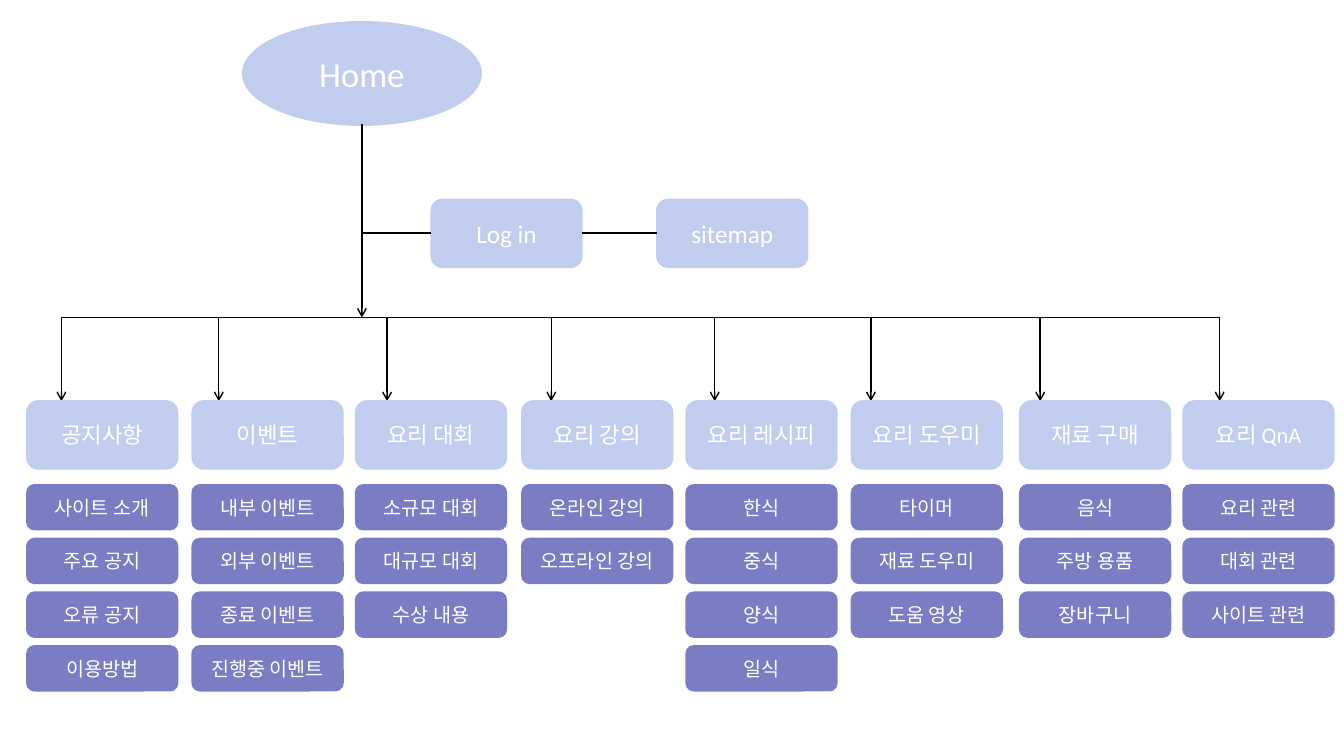
"""Build a site map slide for a cooking website."""
from pptx import Presentation, util as u
from pptx.dml.color import RGBColor
from pptx.enum import shapes, text
from pptx.oxml.ns import qn
from lxml import etree

PALE = RGBColor(0xC0, 0xCD, 0xEF)
VIOLET = RGBColor(0x7A, 0x7C, 0xC4)
WHITE = RGBColor(0xFF, 0xFF, 0xFF)
BLACK = RGBColor(0x00, 0x00, 0x00)

BOX_W, BOX_H, ITEM_H = 107.3, 48.2, 31.7
TRUNK_X, BUS_Y, HEAD_Y = 258.5, 226.8, 286.6
ITEM_Y, ITEM_STEP = 346.5, 38.35
LOGIN_X, MAP_X, SIDE_Y, LINK_Y = 308.2, 469.4, 142.6, 166.4

MENU = [
    (19.4, 43.9, "공지사항", ["사이트 소개", "주요 공지", "오류 공지", "이용방법"]),
    (137.5, 156.3, "이벤트", ["내부 이벤트", "외부 이벤트", "종료 이벤트", "진행중 이벤트"]),
    (254.2, 276.5, "요리 대회", ["소규모 대회", "대규모 대회", "수상 내용"]),
    (373, 393.8, "요리 강의", ["온라인 강의", "오프라인 강의"]),
    (490.3, 510.5, "요리 레시피", ["한식", "중식", "양식", "일식"]),
    (608.4, 622.1, "요리 도우미", ["타이머", "재료 도우미", "도움 영상"]),
    (728.6, 743, "재료 구매", ["음식", "주방 용품", "장바구니"]),
    (845.3, 871.2, "요리 QnA", ["요리 관련", "대회 관련", "사이트 관련"]),
]


def write(frame, words, size=14, font="Calibri", color=WHITE):
    frame.word_wrap = True
    frame.vertical_anchor = text.MSO_ANCHOR.MIDDLE
    para = frame.paragraphs[0]
    para.alignment = text.PP_ALIGN.CENTER
    run = para.add_run()
    run.text = words
    run.font.size = u.Pt(size)
    run.font.name = font
    run.font.color.rgb = color


class Chart:
    def __init__(self, slide, edge=1.5, stroke=1):
        self.slide, self.edge, self.stroke = slide, edge, stroke

    def node(self, words, x, y, w=BOX_W, h=BOX_H, fill=PALE, size=16,
             kind=shapes.MSO_SHAPE.ROUNDED_RECTANGLE):
        box = self.slide.shapes.add_shape(kind, *map(u.Pt, (x, y, w, h)))
        box.shadow.inherit = False
        box.fill.solid()
        box.fill.fore_color.rgb = fill
        box.line.color.rgb = fill
        box.line.width = u.Pt(self.edge)
        write(box.text_frame, words, size=size)

    def link(self, x1, y1, x2, y2, arrow=False):
        wire = self.slide.shapes.add_connector(
            shapes.MSO_CONNECTOR.STRAIGHT, *map(u.Pt, (x1, y1, x2, y2)))
        wire.line.color.rgb = BLACK
        wire.line.width = u.Pt(self.stroke)
        if arrow:
            etree.SubElement(wire.line._get_or_add_ln(), qn("a:tailEnd"), type="arrow")
        etree.SubElement(wire._element.spPr, qn("a:effectLst"))


def main():
    deck = Presentation()
    deck.slide_width, deck.slide_height = u.Pt(960), u.Pt(540)
    chart = Chart(deck.slides.add_slide(deck.slide_layouts[6]))

    chart.node("Home", 173.5, 15.8, w=170, h=73.4, size=25, kind=shapes.MSO_SHAPE.OVAL)
    chart.link(TRUNK_X, 88.6, TRUNK_X, BUS_Y, arrow=True)
    chart.node("Log in", LOGIN_X, SIDE_Y, size=18)
    chart.node("sitemap", MAP_X, SIDE_Y, size=18)
    chart.link(LOGIN_X, LINK_Y, TRUNK_X, LINK_Y)
    chart.link(MAP_X, LINK_Y, LOGIN_X + BOX_W, LINK_Y)
    chart.link(MENU[0][1], BUS_Y, MENU[-1][1], BUS_Y)

    for left, drop, head, items in MENU:
        chart.link(drop, BUS_Y, drop, HEAD_Y, arrow=True)
        chart.node(head, left, HEAD_Y)
        for row, item in enumerate(items):
            chart.node(item, left, ITEM_Y + row * ITEM_STEP, h=ITEM_H, fill=VIOLET, size=14)

    deck.save("out.pptx")


if __name__ == "__main__":
    main()
